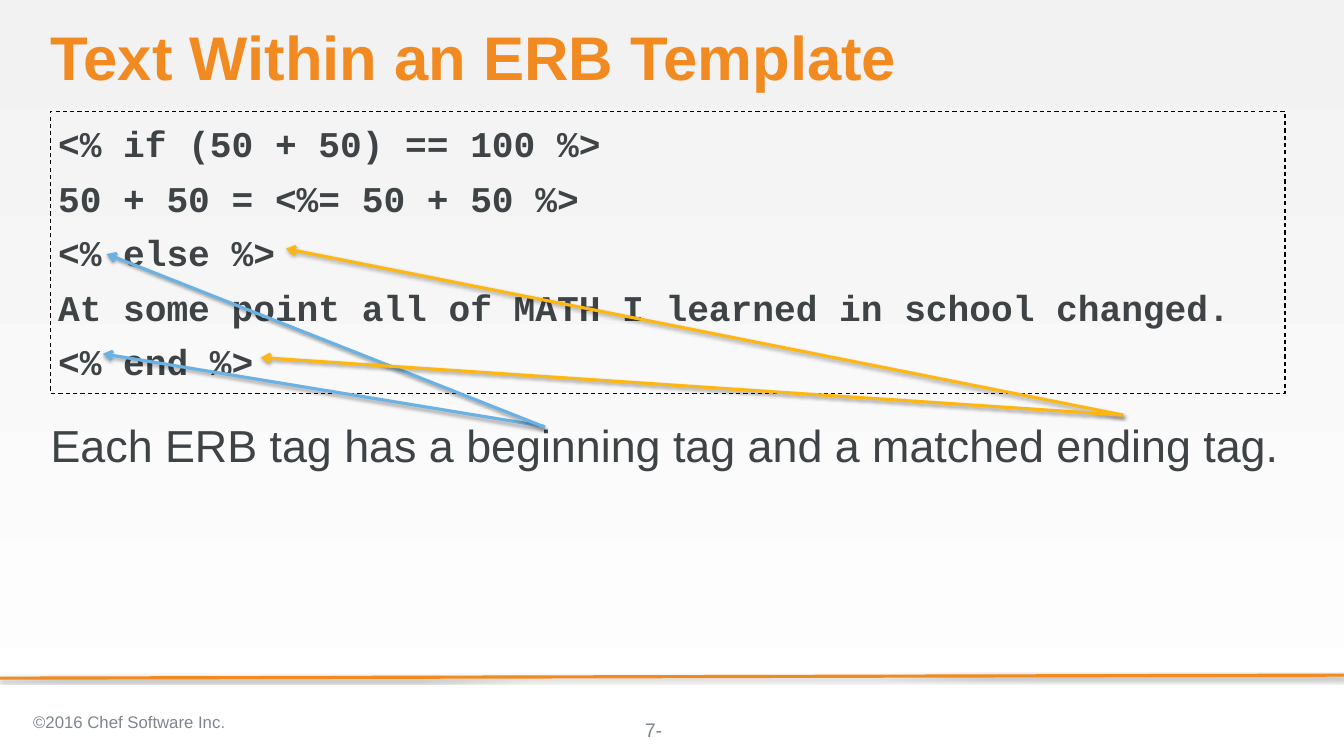
from lxml import etree
from pptx import Presentation
from pptx.dml.color import RGBColor
from pptx.enum import dml, shapes, text
from pptx.oxml import ns
from pptx.util import Pt

ORANGE = RGBColor(0xF1, 0x8B, 0x21)
YELLOW = RGBColor(0xFD, 0xB7, 0x14)
BLUE = RGBColor(0x6B, 0xB2, 0xE2)
DARK = RGBColor(0x3E, 0x43, 0x46)
GREY = RGBColor(0x7D, 0x86, 0x8C)
DOT_GREY = RGBColor(0x92, 0x94, 0x94)
BLACK = RGBColor(0, 0, 0)
LIGHT = RGBColor(0xF2, 0xF2, 0xF2)
WHITE = RGBColor(0xFF, 0xFF, 0xFF)

WIDTH, HEIGHT = 1280.16, 720
MARGIN, CONTENT_WIDTH = 48.24, 1175.76

CODE = [
    "<% if (50 + 50) == 100 %>",
    "50 + 50 = <%= 50 + 50 %>",
    "<% else %>",
    "At some point all of MATH I learned in school changed.",
    "<% end %>",
]
# Colour, start and end of each arrow from the sentence to a tag
ARROWS = [
    (BLUE, (518.4, 406.1), (97.9, 337)),
    (BLUE, (519.1, 406.8), (101.5, 241.9)),
    (YELLOW, (1069.9, 395.3), (272.2, 236.9)),
    (YELLOW, (1069.2, 395.3), (248.4, 340.6)),
]


def add_run(paragraph, words, size, color, font="Arial", bold=False):
    run = paragraph.add_run()
    run.text = words
    run.font.name = font
    run.font.size = Pt(size)
    run.font.bold = bold
    run.font.color.rgb = color


def set_frame(shape, insets=(0, 0, 0, 0), anchor=text.MSO_ANCHOR.TOP):
    """Set wrapping, anchor and left, top, right, bottom insets; return the frame."""
    frame = shape.text_frame
    frame.word_wrap = True
    frame.vertical_anchor = anchor
    (frame.margin_left, frame.margin_top,
     frame.margin_right, frame.margin_bottom) = map(Pt, insets)
    return frame


def add_text_box(slide, box, **frame_options):
    """Add a text box and return its first paragraph."""
    shape = slide.shapes.add_textbox(*map(Pt, box))
    return set_frame(shape, **frame_options).paragraphs[0]


def add_line(slide, start, end, color, arrow=False):
    """Add a 3 pt line with a soft shadow below it."""
    line = slide.shapes.add_connector(
        shapes.MSO_CONNECTOR.STRAIGHT, *map(Pt, start + end))
    line.line.color.rgb = color
    line.line.width = Pt(3)
    if arrow:
        etree.SubElement(line.line._get_or_add_ln(), ns.qn("a:tailEnd"), type="arrow")
    effects = etree.SubElement(line._element.spPr, ns.qn("a:effectLst"))
    shadow = etree.SubElement(
        effects, ns.qn("a:outerShdw"), blurRad=str(Pt(3.1)), dist=str(Pt(1.8)),
        dir="5400000", rotWithShape="0")
    shade = etree.SubElement(shadow, ns.qn("a:srgbClr"), val=str(BLACK))
    etree.SubElement(shade, ns.qn("a:alpha"), val="35000")


def add_background(slide):
    fill = slide.background.fill
    fill.gradient()
    fill.gradient_angle = 270
    for stop, color in zip(fill.gradient_stops, (LIGHT, WHITE)):
        stop.color.rgb = color


def add_title(slide, box):
    paragraph = add_text_box(slide, box, anchor=text.MSO_ANCHOR.BOTTOM)
    paragraph.line_spacing = 0.9
    add_run(paragraph, "Text Within an ERB Template", 58.7, ORANGE, bold=True)


def add_code(slide, box):
    shape = slide.shapes.add_shape(shapes.MSO_SHAPE.RECTANGLE, *map(Pt, box))
    shape.shadow.inherit = False
    shape.fill.background()
    shape.line.color.rgb = BLACK
    shape.line.width = Pt(1)
    shape.line.dash_style = dml.MSO_LINE.DASH
    frame = set_frame(shape, insets=(7.2, 10, 7.2, 3.6))
    for index, words in enumerate(CODE):
        paragraph = frame.add_paragraph() if index else frame.paragraphs[0]
        paragraph.alignment = text.PP_ALIGN.LEFT
        if index:
            paragraph.space_before = Pt(10.5)
        add_run(paragraph, words, 34.5, DARK, "Courier New", bold=True)


def add_sentence(slide, box):
    paragraph = add_text_box(slide, box, insets=(0, 4, 0, 0))
    add_run(paragraph, "Each ERB tag has a beginning tag and a matched ending tag.",
            42.7, DARK)


def add_footer(slide, left, top, width):
    add_line(slide, (left + width, top), (left, top + 2.9), ORANGE)
    number = add_text_box(slide, (left + 614.2, top + 40.3, 54.7, 22.3))
    add_run(number, "7-", 18.7, GREY)
    copyright_line = add_text_box(
        slide, (left + 24.5, top + 24.5, 447.1, 40.3),
        insets=(7.2, 3.6, 7.2, 3.6), anchor=text.MSO_ANCHOR.MIDDLE)
    add_run(copyright_line, "©2016 Chef Software Inc", 16, GREY)
    add_run(copyright_line, ".", 16, DOT_GREY)


def main():
    presentation = Presentation()
    presentation.slide_width, presentation.slide_height = Pt(WIDTH), Pt(HEIGHT)
    slide = presentation.slides.add_slide(presentation.slide_layouts[6])
    add_background(slide)
    add_footer(slide, 0, 643, WIDTH)
    add_title(slide, (MARGIN, 23.8, CONTENT_WIDTH, 65.5))
    add_code(slide, (MARGIN, 105.8, CONTENT_WIDTH, 268.6))
    add_sentence(slide, (MARGIN, 393.8, CONTENT_WIDTH, 268.6))
    for color, start, end in ARROWS:
        add_line(slide, start, end, color, arrow=True)
    presentation.save("out.pptx")


if __name__ == "__main__":
    main()
